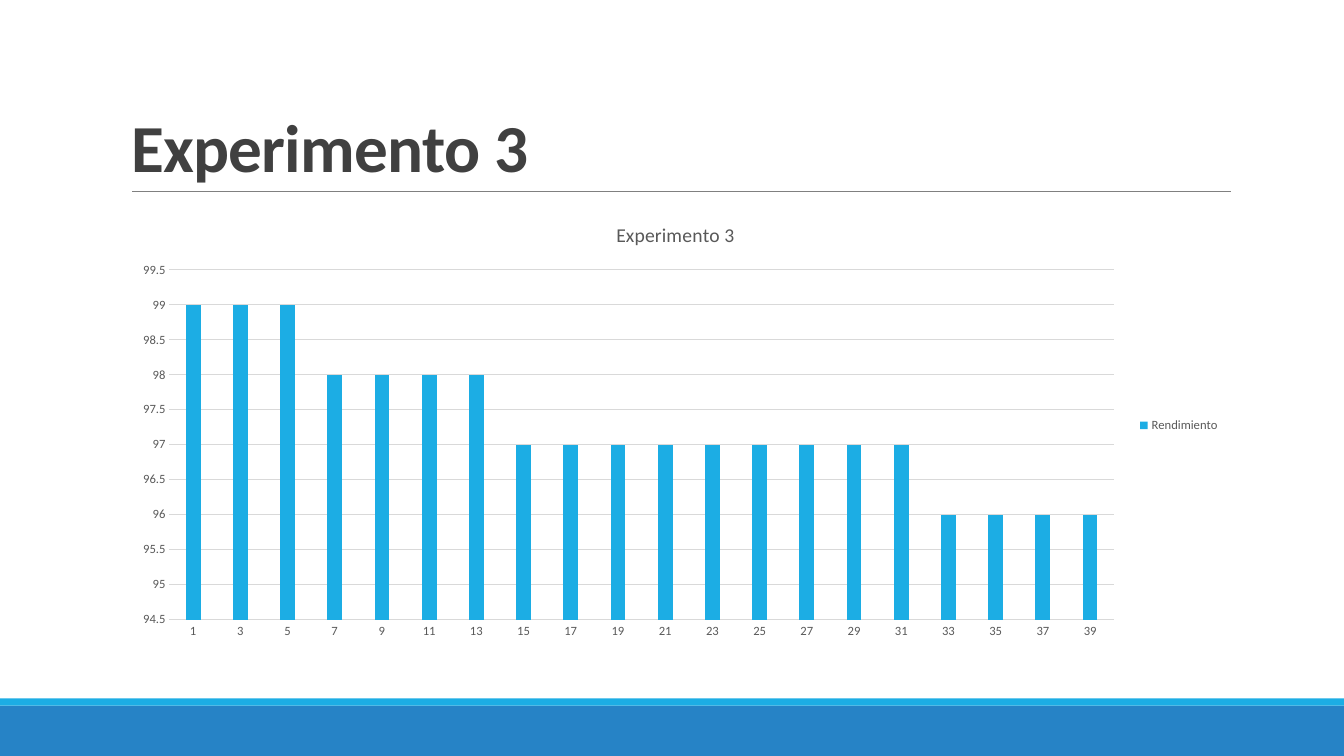
from pptx import Presentation
from pptx.chart.data import CategoryChartData as Data
from pptx.dml.color import RGBColor as Rgb
from pptx.enum.chart import XL_CHART_TYPE as Kind, XL_LEGEND_POSITION as Side, XL_TICK_MARK as Tick
from pptx.enum.shapes import MSO_CONNECTOR as Link, MSO_SHAPE as Form
from pptx.enum.text import MSO_ANCHOR as Anchor, MSO_AUTO_SIZE as Fit, PP_ALIGN as Align
from pptx.oxml.ns import qn
from pptx.util import Inches, Pt
from lxml.etree import SubElement

COLORS = {
    "sky": "1CADE4",
    "blue": "2683C6",
    "rule": "808080",
    "head": "404040",
    "label": "595959",
    "grid": "D9D9D9",
}


class Deck:
    def __init__(self):
        self.font = "Calibri"
        self.prs = Presentation()
        self.prs.slide_width = Inches(13.33)
        self.prs.slide_height = Inches(7.5)
        self.slide = self.prs.slides.add_slide(self.prs.slide_layouts[5])

    def color(self, name):
        return Rgb.from_string(COLORS[name])

    def style(self, font, size, name, bold=False):
        font.name = self.font
        font.size = Pt(size)
        font.bold = bold
        font.color.rgb = self.color(name)

    def stroke(self, line, name, width):
        line.color.rgb = self.color(name)
        line.width = Pt(width)

    def band(self, top, height, name):
        box = self.slide.shapes.add_shape(
            Form.RECTANGLE, 0, Inches(top), self.prs.slide_width, Inches(height))
        box.shadow.inherit = False
        box.fill.solid()
        box.fill.fore_color.rgb = self.color(name)
        box.line.fill.background()

    def rule(self, left, right, top):
        line = self.slide.shapes.add_connector(
            Link.STRAIGHT, Inches(left), Inches(top), Inches(right), Inches(top))
        self.stroke(line.line, "rule", 0.5)
        SubElement(line._element.spPr, qn("a:effectLst"))

    def title(self, text, left, top, width, height):
        head = self.slide.shapes.title
        head.left, head.top = Inches(left), Inches(top)
        head.width, head.height = Inches(width), Inches(height)
        frame = head.text_frame
        frame.word_wrap = True
        frame.auto_size = Fit.NONE
        frame.vertical_anchor = Anchor.BOTTOM
        para = frame.paragraphs[0]
        para.alignment = Align.LEFT
        para.line_spacing = 0.85
        run = para.add_run()
        run.text = text
        self.style(run.font, 48, "head", True)
        run.font._element.set("spc", "-50")

    def axis(self, axis):
        axis.major_tick_mark = Tick.NONE
        axis.minor_tick_mark = Tick.NONE
        self.style(axis.tick_labels.font, 9, "label")

    def chart(self, text, name, cats, vals, left, top, width, height):
        data = Data()
        data.categories = cats
        data.add_series(name, vals)
        chart = self.slide.shapes.add_chart(
            Kind.COLUMN_CLUSTERED, Inches(left), Inches(top),
            Inches(width), Inches(height), data).chart
        chart.font.name = self.font
        chart.font.size = Pt(10)

        chart.has_title = True
        run = chart.chart_title.text_frame.paragraphs[0].add_run()
        run.text = text
        self.style(run.font, 14, "label")
        chart.chart_title.include_in_layout = False

        chart.has_legend = True
        chart.legend.position = Side.RIGHT
        chart.legend.include_in_layout = False
        self.style(chart.legend.font, 9, "label")

        base, scale = chart.category_axis, chart.value_axis
        self.axis(base)
        self.axis(scale)
        self.stroke(base.format.line, "grid", 0.75)
        scale.format.line.fill.background()
        scale.minimum_scale, scale.maximum_scale = 94.5, 99.5
        scale.major_unit = 0.5
        scale.has_major_gridlines = True
        self.stroke(scale.major_gridlines.format.line, "grid", 0.75)

        plot = chart.plots[0]
        plot.gap_width = 219
        plot.overlap = -27
        plot.vary_by_categories = False
        fill = plot.series[0].format.fill
        fill.solid()
        fill.fore_color.rgb = self.color("sky")


def main():
    deck = Deck()
    deck.band(7, 0.5, "blue")
    deck.band(6.93, 0.07, "sky")
    deck.rule(1.31, 12.21, 1.9)
    deck.title("Experimento 3", 1.2, 0.31, 11, 1.59)
    cats = [str(n) for n in range(1, 40, 2)]
    vals = [99] * 3 + [98] * 4 + [97] * 9 + [96] * 4
    deck.chart("Experimento 3", "Rendimiento", cats, vals, 1.2, 2.02, 11, 4.4)
    deck.prs.save("out.pptx")


if __name__ == "__main__":
    main()
